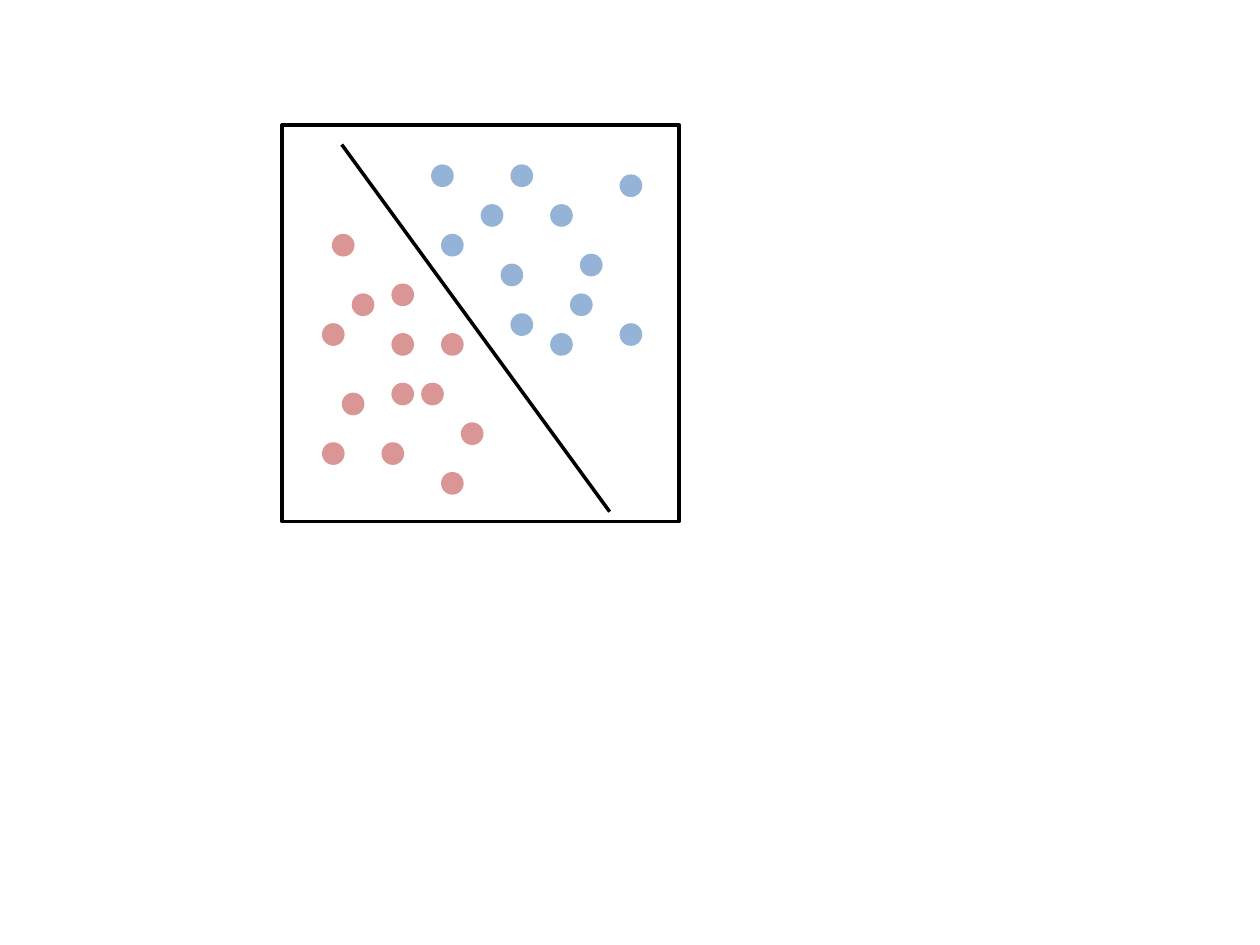
import pptx
import pptx.dml.color
import pptx.enum.shapes
import pptx.oxml
import pptx.util
from pptx.util import Inches

GRID_STEPS = 40
DOT_SIZE = 0.18
LINE_WIDTH = 2
BLACK = "000000"
BLUE = "95B3D7"
RED = "D99694"

BLUE_POINTS = [
    (15, 4), (23, 4), (34, 5), (20, 8), (27, 8), (16, 11),
    (30, 13), (22, 14), (29, 17), (23, 19), (34, 20), (27, 21),
]
RED_POINTS = [
    (5, 11), (11, 16), (7, 17), (4, 20), (11, 21), (16, 21), (11, 26),
    (14, 26), (6, 27), (18, 30), (4, 32), (10, 32), (16, 35),
]
BOUNDARY = [(6, 2), (33, 39)]


def color(value):
    """Return the colour of a hex string."""
    return pptx.dml.color.RGBColor.from_string(value)


def style_line(line):
    """Give a line the black stroke of the plot."""
    line.color.rgb = color(BLACK)
    line.width = pptx.util.Pt(LINE_WIDTH)


def add_frame(slide, left, top, size):
    """Add the square outline of the plot."""
    frame = slide.shapes.add_shape(
        pptx.enum.shapes.MSO_SHAPE.RECTANGLE,
        Inches(left), Inches(top), Inches(size), Inches(size))
    frame.shadow.inherit = False
    frame.fill.background()
    style_line(frame.line)


def add_dot(slide, left, top, fill):
    """Add one data point."""
    dot = slide.shapes.add_shape(
        pptx.enum.shapes.MSO_SHAPE.OVAL,
        Inches(left), Inches(top), Inches(DOT_SIZE), Inches(DOT_SIZE))
    dot.shadow.inherit = False
    dot.fill.solid()
    dot.fill.fore_color.rgb = color(fill)
    dot.line.fill.background()


def add_boundary(slide, start, end):
    """Add the straight line that separates the classes."""
    boundary = slide.shapes.add_connector(
        pptx.enum.shapes.MSO_CONNECTOR.STRAIGHT,
        *(Inches(value) for value in (*start, *end)))
    style_line(boundary.line)
    properties = boundary.element.spPr
    properties.append(pptx.oxml.parse_xml(
        '<a:effectLst xmlns:a="http://schemas.openxmlformats.org/drawingml/2006/main"/>'))


def add_scatter(slide, left, top, size):
    """Place the two classes and their boundary on a grid in a square box."""
    step = size / GRID_STEPS

    def locate(point):
        """Return the slide position of a grid point."""
        column, row = point
        return left + column * step, top + row * step

    add_frame(slide, left, top, size)
    add_boundary(slide, *(locate(point) for point in BOUNDARY))
    for points, fill in ((BLUE_POINTS, BLUE), (RED_POINTS, RED)):
        for point in points:
            add_dot(slide, *locate(point), fill)


def main():
    """Build and save the presentation."""
    presentation = pptx.Presentation()
    presentation.slide_width = Inches(10)
    presentation.slide_height = Inches(7.5)
    slide = presentation.slides.add_slide(presentation.slide_layouts[6])
    add_scatter(slide, left=2.24, top=0.99, size=3.15)
    presentation.save("out.pptx")


if __name__ == "__main__":
    main()
